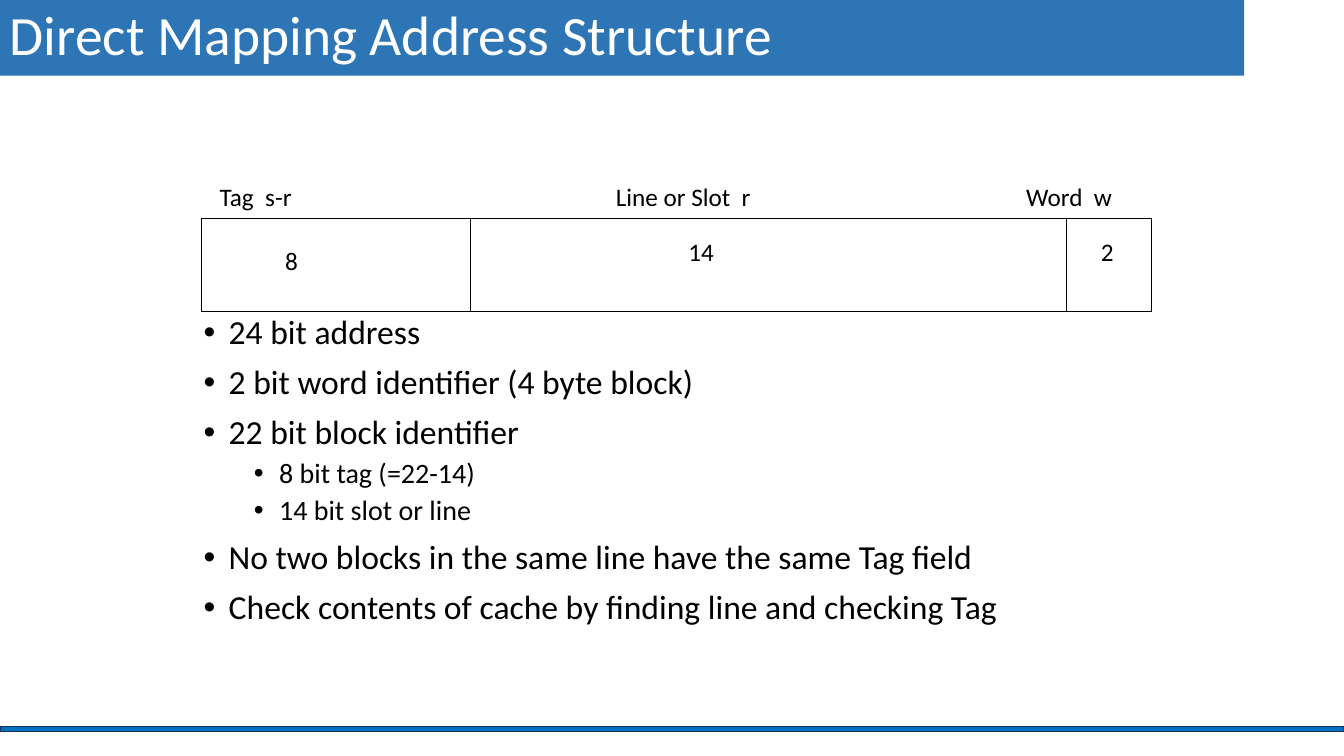
from lxml.etree import SubElement
from pptx import Presentation
from pptx.dml.color import RGBColor
from pptx.enum.shapes import MSO_CONNECTOR, MSO_SHAPE
from pptx.enum.text import MSO_ANCHOR
from pptx.oxml.ns import qn
from pptx.util import Pt

PX = 9144
THEME = {
    "font": "Calibri",
    "title_fill": RGBColor(0x2E, 0x75, 0xB6),
    "footer_fill": RGBColor(0x00, 0x70, 0xC0),
    "footer_line": RGBColor(0x1E, 0x32, 0x56),
    "white": RGBColor(0xFF, 0xFF, 0xFF),
    "black": RGBColor(0x00, 0x00, 0x00),
    "title_size": 39.6,
    "label_size": 18,
    "bullet_sizes": (24, 20),
}

presentation = Presentation()
presentation.slide_width = 1333 * PX
presentation.slide_height = 750 * PX
slide = presentation.slides.add_slide(presentation.slide_layouts[6])


def add_rectangle(left, top, width, height, fill=None, line=None, weight=1):
    shape = slide.shapes.add_shape(
        MSO_SHAPE.RECTANGLE, left * PX, top * PX, width * PX, height * PX
    )
    shape.shadow.inherit = False
    if fill is None:
        shape.fill.background()
    else:
        shape.fill.solid()
        shape.fill.fore_color.rgb = fill
    if line is None:
        shape.line.fill.background()
    else:
        shape.line.color.rgb = line
        shape.line.width = Pt(weight)
    return shape


def write(paragraph, text, size, color=THEME["black"], spacing=None, before=0, indent=None):
    run = paragraph.add_run()
    run.text = text
    run.font.name = THEME["font"]
    run.font.size = Pt(size)
    run.font.color.rgb = color
    paragraph.line_spacing = spacing
    paragraph.space_before = Pt(before)
    properties = paragraph._p.get_or_add_pPr()
    properties.set("algn", "l")
    if indent is not None:
        properties.set("marL", str(indent * PX))
        properties.set("indent", str(-25 * PX))
        SubElement(properties, qn("a:buFont"), typeface="Arial")
        SubElement(properties, qn("a:buChar"), char="•")


add_rectangle(0, 721, 1333, 5, THEME["footer_fill"], THEME["footer_line"])

title = add_rectangle(0, 0, 1234, 75, THEME["title_fill"])
title.text_frame.vertical_anchor = MSO_ANCHOR.MIDDLE
write(title.text_frame.paragraphs[0], "Direct Mapping Address Structure",
      THEME["title_size"], color=THEME["white"], spacing=0.9)

address_top, address_height = 217, 92
add_rectangle(200, address_top, 942, address_height, line=THEME["black"], weight=0.75)

for divider_x in (467, 1058):
    divider = slide.shapes.add_connector(
        MSO_CONNECTOR.STRAIGHT, divider_x * PX, address_top * PX,
        divider_x * PX, (address_top + address_height) * PX
    )
    divider.line.color.rgb = THEME["black"]
    divider.line.width = Pt(0.75)
    SubElement(divider._element.spPr, qn("a:effectLst"))

labels = [
    ("Tag  s-r", 208, 175, 92),
    ("Line or Slot  r", 601, 175, 156),
    ("Word  w", 1008, 175, 106),
    ("8", 273, 238, 33),
    ("14", 673, 230, 46),
    ("2", 1082, 230, 33),
]
for text, left, top, width in labels:
    label = slide.shapes.add_textbox(left * PX, top * PX, width * PX, 40 * PX)
    label.text_frame.word_wrap = False
    write(label.text_frame.paragraphs[0], text, THEME["label_size"])

bullets = [
    ("24 bit address", 0),
    ("2 bit word identifier (4 byte block)", 0),
    ("22 bit block identifier", 0),
    ("8 bit tag (=22-14)", 1),
    ("14 bit slot or line", 1),
    ("No two blocks in the same line have the same Tag field", 0),
    ("Check contents of cache by finding line and checking Tag", 0),
]
body = slide.shapes.add_textbox(192 * PX, 308 * PX, 919 * PX, 354 * PX)
body.text_frame.word_wrap = True
for index, (text, level) in enumerate(bullets):
    paragraph = body.text_frame.add_paragraph() if index else body.text_frame.paragraphs[0]
    paragraph.level = level
    write(paragraph, text, THEME["bullet_sizes"][level], spacing=0.9,
          before=(10, 5)[level], indent=25 + 50 * level)

presentation.save("out.pptx")
